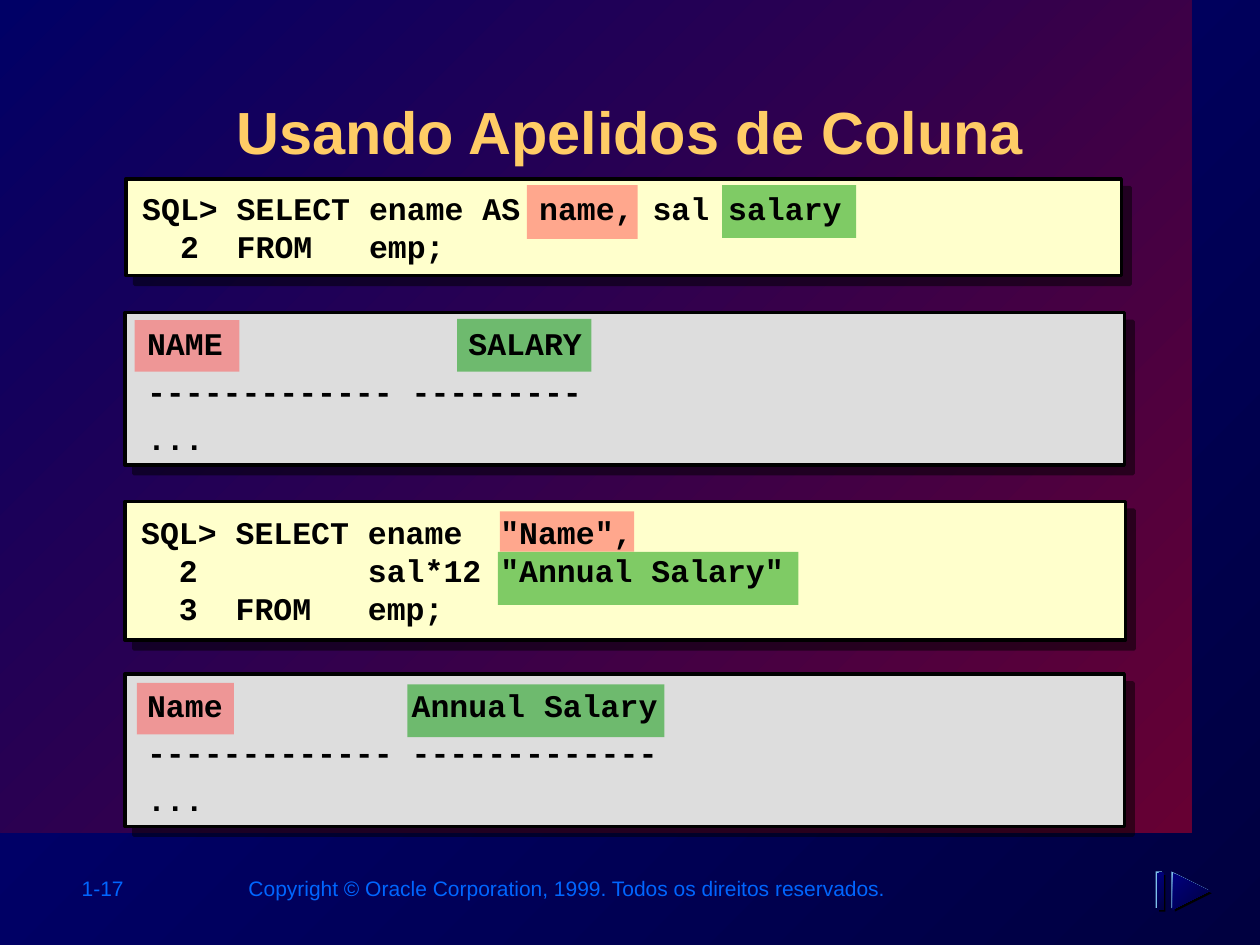
from lxml.etree import SubElement
from pptx import Presentation
from pptx.dml.color import RGBColor
from pptx.enum.shapes import MSO_SHAPE
from pptx.enum.text import MSO_ANCHOR, PP_ALIGN
from pptx.oxml.ns import qn
from pptx.util import Pt

NAVY = ("000080", "000040")
BLACK = "000000"
CREAM = "FFFFCC"
GRAY = "DDDDDD"
RED = "FF5050"
GREEN = "009900"
SKY = "7FC1EB"


def color(value):
    return RGBColor.from_string(value)


class SlideBuilder:
    body_font = "Arial"
    code_font = "Courier New"

    def __init__(self, slide):
        self.slide = slide

    def paint(self, fill, value):
        if isinstance(value, str):
            fill.solid()
            fill.fore_color.rgb = color(value)
            return
        fill.gradient()
        fill.gradient_angle = 315
        for stop, stop_color, position in zip(fill.gradient_stops, value, (0, 1)):
            stop.color.rgb = color(stop_color)
            stop.position = position

    def add_shadow(self, parent, distance, alpha):
        effects = parent.find(qn("a:effectLst"))
        if effects is None:
            effects = SubElement(parent, qn("a:effectLst"))
        shadow = SubElement(effects, qn("a:outerShdw"), blurRad="0",
                            dist=str(Pt(distance)), dir="2700000", algn="ctr", rotWithShape="0")
        shadow_color = SubElement(shadow, qn("a:srgbClr"), val=BLACK)
        SubElement(shadow_color, qn("a:alpha"), val=str(alpha * 1000))

    def rectangle(self, left, top, width, height, fill):
        shape = self.slide.shapes.add_shape(
            MSO_SHAPE.RECTANGLE, Pt(left), Pt(top), Pt(width), Pt(height))
        shape.shadow.inherit = False
        self.paint(shape.fill, fill)
        shape.line.fill.background()
        return shape

    def panel(self, left, top, width, height, fill):
        shape = self.rectangle(left, top, width, height, fill)
        shape.line.color.rgb = color(BLACK)
        shape.line.width = Pt(2)
        self.add_shadow(shape._element.spPr, 7.1, 50)

    def highlight(self, left, top, width, height, fill):
        shape = self.rectangle(left, top, width, height, fill)
        value = shape._element.spPr.find(qn("a:solidFill")).find(qn("a:srgbClr"))
        SubElement(value, qn("a:alpha"), val="50000")

    def triangle(self, left, top, width, height, fill):
        builder = self.slide.shapes.build_freeform(Pt(left + width), Pt(top + height / 2))
        builder.add_line_segments([(Pt(left), Pt(top)), (Pt(left), Pt(top + height))], close=True)
        shape = builder.convert_to_shape()
        shape.shadow.inherit = False
        self.paint(shape.fill, fill)
        shape.line.fill.background()

    def add_run(self, paragraph, text, name, size, value, bold):
        run = paragraph.add_run()
        run.text = text
        run.font.size = Pt(size)
        run.font.bold = bold
        run.font.color.rgb = color(value)
        return run

    def title(self, text, left, top, width, height):
        shape = self.slide.shapes.title
        shape.left, shape.top, shape.width, shape.height = Pt(left), Pt(top), Pt(width), Pt(height)
        shape.text_frame.vertical_anchor = MSO_ANCHOR.MIDDLE
        paragraph = shape.text_frame.paragraphs[0]
        paragraph.alignment = PP_ALIGN.CENTER
        run = self.add_run(paragraph, text, self.body_font, 34, "FFCC66", True)
        self.add_shadow(run.font._element, 3, 70)
        run.font.name = self.body_font
        self.slide.shapes._spTree.append(shape._element)

    def text(self, paragraphs, left, top, width, height, name, size, value, bold=False,
             align=PP_ALIGN.LEFT, anchor=MSO_ANCHOR.TOP, spacing=1.0):
        shape = self.slide.shapes.add_textbox(Pt(left), Pt(top), Pt(width), Pt(height))
        frame = shape.text_frame
        frame.word_wrap = True
        frame.vertical_anchor = anchor
        for index, lines in enumerate(paragraphs):
            paragraph = frame.paragraphs[0] if index == 0 else frame.add_paragraph()
            paragraph.alignment = align
            paragraph.line_spacing = spacing
            for number, line in enumerate(lines.split("\n")):
                if number:
                    paragraph.add_line_break()
                run = self.add_run(paragraph, line, name, size, value, bold)
                run.font.name = name

    def footer(self, text, left, width, align):
        self.text([text], left, 496.8, width, 21.6, self.body_font, 12, "0066FF", align=align)

    def query(self, lines, left, top, width, height):
        self.text(lines, left, top, width, height, self.code_font, 18, BLACK, True,
                  anchor=MSO_ANCHOR.MIDDLE)

    def result(self, lines, top, width):
        self.text(lines, 77, top, width, 88.6, self.code_font, 18, BLACK, True, spacing=1.25)


def main():
    presentation = Presentation()
    presentation.slide_width, presentation.slide_height = Pt(720), Pt(540)
    slide = presentation.slides.add_slide(presentation.slide_layouts[5])
    builder = SlideBuilder(slide)
    builder.paint(slide.background.fill, NAVY)

    builder.rectangle(0, 0, 681, 475.5, ("000066", "660033"))
    builder.footer("1-17", 39.6, 80, PP_ALIGN.LEFT)
    builder.footer("Copyright © Oracle Corporation, 1999. Todos os direitos reservados.",
                   97.2, 416, PP_ALIGN.RIGHT)

    for panel in (
        (72, 102.2, 568.8, 55.4, CREAM),
        (71.5, 178.6, 571, 87.1, GRAY),
        (71.5, 286.6, 571.7, 79.2, CREAM),
        (71.5, 385.2, 571, 87.1, GRAY),
    ):
        builder.panel(*panel)

    builder.title("Usando Apelidos de Coluna", 72.7, 40.3, 574.6, 69.1)

    for highlight in (
        (301, 105.8, 63.4, 30.7, RED),
        (77, 182.9, 59.8, 29.5, RED),
        (412.6, 105.8, 76.7, 30.2, GREEN),
        (261.2, 182.2, 76.8, 30.2, GREEN),
        (285.6, 292.2, 76.8, 23, RED),
        (78.3, 390.2, 55.4, 29.5, RED),
        (284.6, 315.4, 171.6, 30.2, GREEN),
        (232.8, 391, 146.8, 30.2, GREEN),
    ):
        builder.highlight(*highlight)

    builder.query(["SQL> SELECT ename AS name, sal salary", "  2  FROM   emp;"],
                  74.2, 100.8, 571, 57.6)
    builder.result(["NAME             SALARY", "------------- ---------\n..."], 176.4, 263)
    builder.query(['SQL> SELECT ename  "Name",', '  2         sal*12 "Annual Salary"',
                   "  3  FROM   emp;"], 73.6, 285.1, 573.8, 81.4)
    builder.result(["Name          Annual Salary", "------------- -------------\n..."], 383, 307)

    layers = ((2, BLACK), (0, SKY), (0.8, NAVY))
    for offset, fill in layers:
        builder.rectangle(660.4 + offset, 498 + offset, 3.6, 20.9, fill)
    for offset, fill in layers:
        builder.triangle(669.4 + offset, 498 + offset, 21, 20.9, fill)

    presentation.save("out.pptx")


if __name__ == "__main__":
    main()
